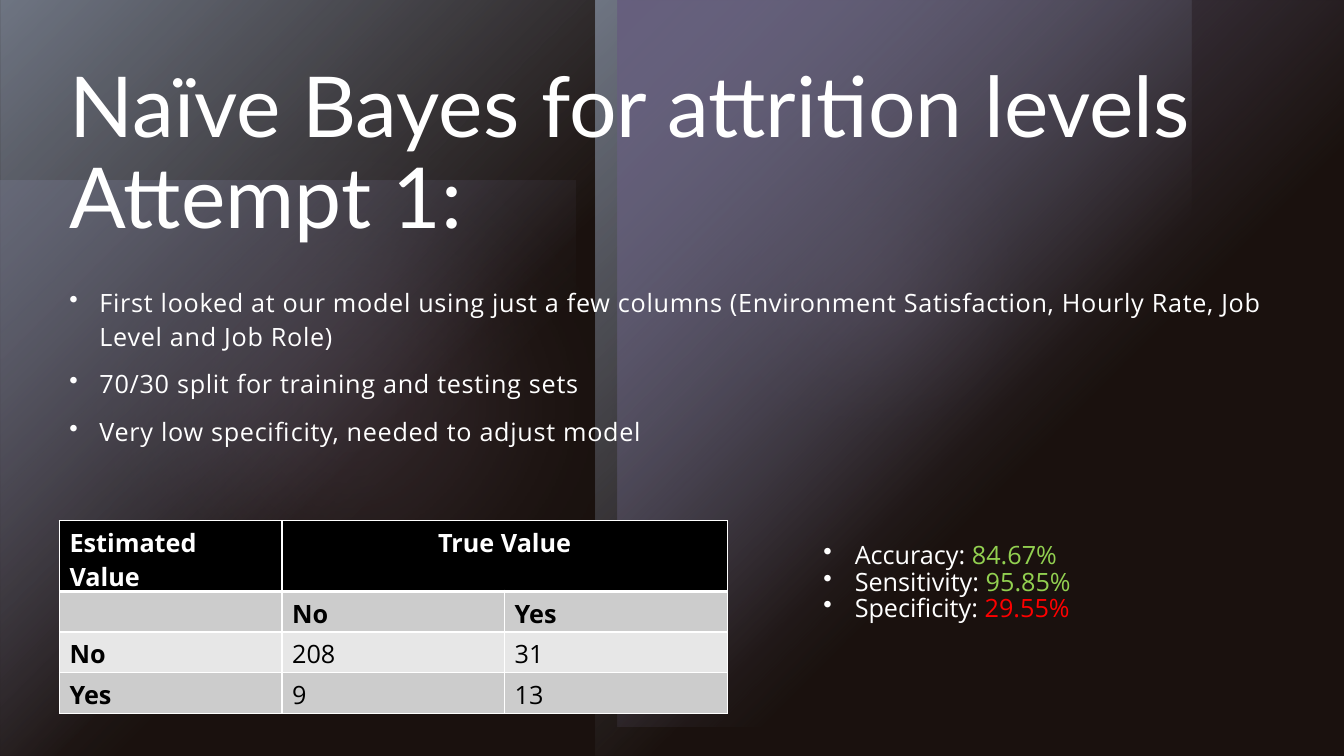
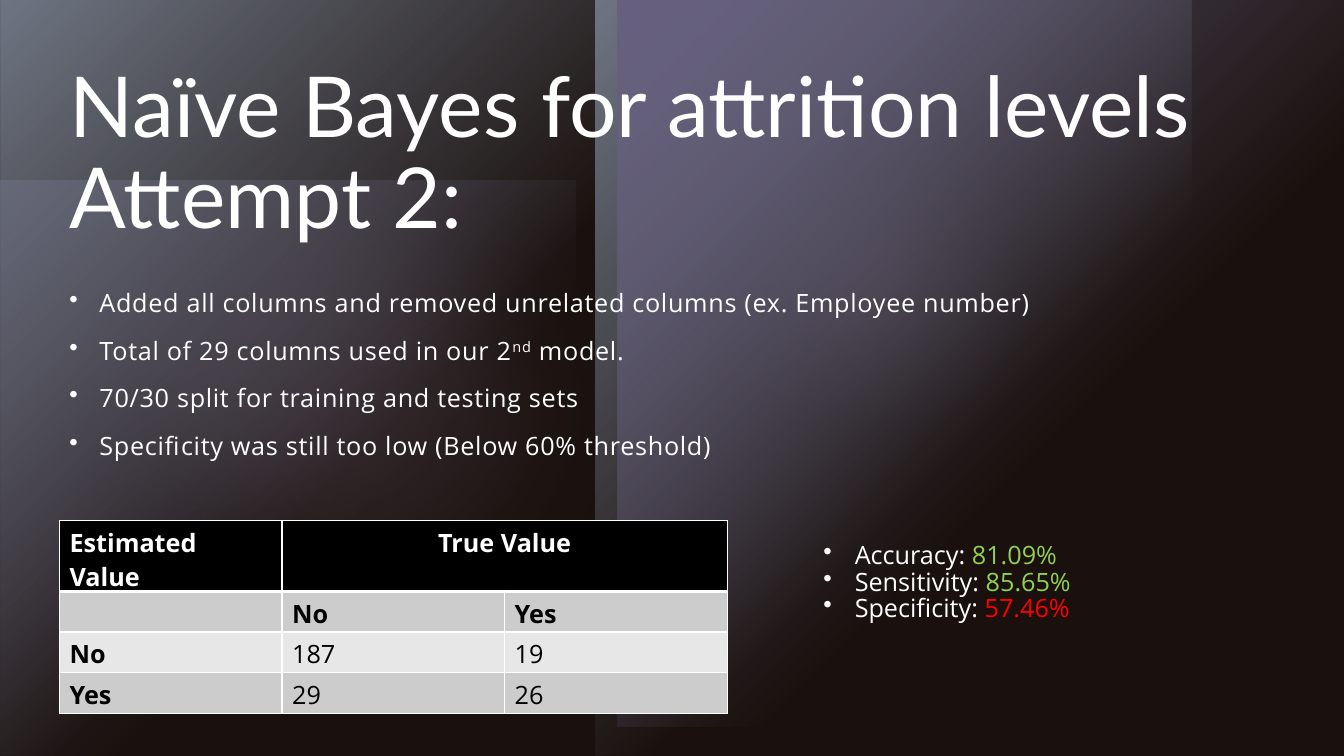
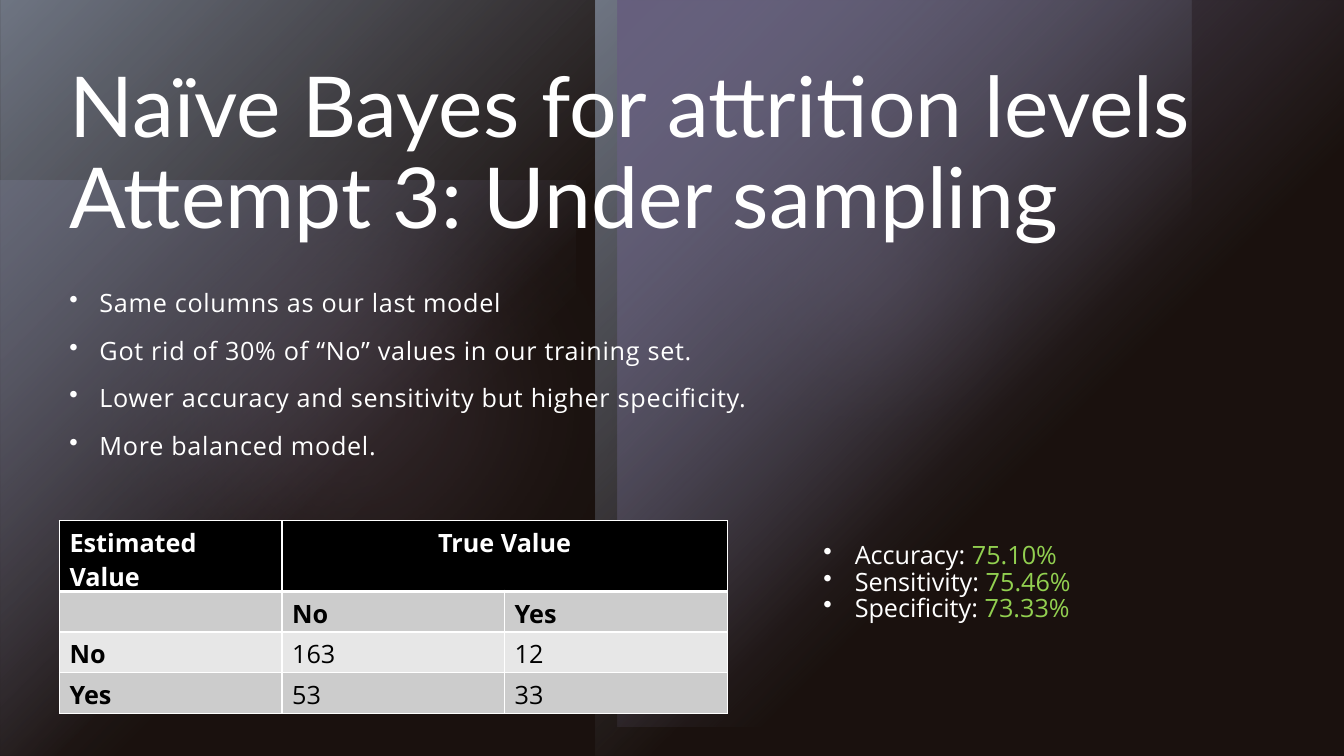
from dataclasses import dataclass
from lxml import etree
from pptx import Presentation
from pptx.dml.color import RGBColor
from pptx.enum.shapes import MSO_SHAPE
from pptx.enum.text import MSO_ANCHOR, MSO_AUTO_SIZE, PP_ALIGN
from pptx.oxml.ns import qn
from pptx.util import Pt

RECT, OVAL = MSO_SHAPE.RECTANGLE, MSO_SHAPE.OVAL
TOP, NO_FIT = MSO_ANCHOR.TOP, MSO_AUTO_SIZE.NONE
LEFT, CENTER = PP_ALIGN.LEFT, PP_ALIGN.CENTER

COLORS = {
    "black": "000000", "white": "FFFFFF", "steel": "8DA6C2", "violet": "7F82BA",
    "lilac": "A896C6", "brown": "412C24", "good": "92D050", "bad": "FF0000",
    "band": "CCCCCC", "light": "E7E7E7",
}
TITLE_FONT, BODY_FONT = "Lato", "Open Sans"
TITLE_SIZE, BODY_SIZE = 60, 18
SLIDE_W, SLIDE_H = 960, 540
MARGIN, CONTENT_W = 42.5, 874
THRESHOLD = 60


@dataclass(frozen=True)
class Glow:
    kind: MSO_SHAPE
    box: tuple[float, float, float, float]
    color: str
    alpha: int = 100
    fades: bool = False
    soft_edge: float = 0
    rotation: int = 0
    flips: str = "V"


@dataclass(frozen=True)
class Attempt:
    title: str
    points: list[str]
    counts: list[list[int]]  # rows: estimated No, Yes
    metrics: dict[str, float]


GLOWS = [
    Glow(RECT, (0, 129, 411, 411), "violet", 60, fades=True),
    Glow(OVAL, (453, 31, 340, 340), "lilac", 60, soft_edge=100),
    Glow(OVAL, (0, 40, 500, 500), "lilac", 20, soft_edge=100),
    Glow(RECT, (0, 0, 425.5, 540), "steel", fades=True, rotation=180),
    Glow(RECT, (425.5, 0, 425.5, 540), "steel", fades=True, rotation=180, flips="HV"),
    Glow(RECT, (441, 0, 519, 519), "violet", fades=True, rotation=180),
]
VEIL = Glow(RECT, (0, 0, SLIDE_W, SLIDE_H), "brown", 40, flips="")

ATTEMPTS = [
    Attempt(
        "Naïve Bayes for attrition levels\vAttempt 1:",
        ["First looked at our model using just a few columns (Environment "
         "Satisfaction, Hourly Rate, Job Level and Job Role)",
         "70/30 split for training and testing sets",
         "Very low specificity, needed to adjust model"],
        [[208, 31], [9, 13]],
        {"Accuracy": 84.67, "Sensitivity": 95.85, "Specificity": 29.55},
    ),
    Attempt(
        "Naïve Bayes for attrition levels Attempt 2:",
        ["Added all columns and removed unrelated columns (ex. Employee number)",
         "Total of 29 columns used in our 2^nd^ model.",
         "70/30 split for training and testing sets",
         "Specificity was still too low (Below 60% threshold)"],
        [[187, 19], [29, 26]],
        {"Accuracy": 81.09, "Sensitivity": 85.65, "Specificity": 57.46},
    ),
    Attempt(
        "Naïve Bayes for attrition levels Attempt 3: Under sampling",
        ["Same columns as our last model",
         "Got rid of 30% of “No” values in our training set.",
         "Lower accuracy and sensitivity but higher specificity.",
         "More balanced model."],
        [[163, 12], [53, 33]],
        {"Accuracy": 75.10, "Sensitivity": 75.46, "Specificity": 73.33},
    ),
]


def rgb(name: str) -> RGBColor:
    return RGBColor.from_string(COLORS[name])


def add_color(parent, color: str, alpha: int = 100) -> None:
    clr = etree.SubElement(parent, qn("a:srgbClr"), val=COLORS[color])
    if alpha < 100:
        etree.SubElement(clr, qn("a:alpha"), val=str(alpha * 1000))


def style(p, color: str, size: float = BODY_SIZE, font: str = BODY_FONT,
          bold: bool = False) -> None:
    p.font.name, p.font.size, p.font.bold = font, Pt(size), bold
    p.font.color.rgb = rgb(color)


def add_bullet(p, indent: float) -> None:
    pPr = p._p.get_or_add_pPr()
    pPr.set("marL", str(Pt(indent)))
    pPr.set("indent", str(-Pt(indent)))
    bullet = etree.Element(qn("a:buChar"), char="•")
    pPr.find(qn("a:defRPr")).addprevious(bullet)


# Shared background
def add_glow(shapes, glow: Glow):
    sp = shapes.add_shape(glow.kind, *map(Pt, glow.box))
    sp.rotation = glow.rotation
    sp.line.fill.background()
    sp.shadow.inherit = False
    spPr = sp._element.spPr
    for axis in glow.flips:
        spPr.find(qn("a:xfrm")).set(f"flip{axis}", "1")
    fill = etree.Element(qn("a:gradFill" if glow.fades else "a:solidFill"))
    spPr.find(qn("a:prstGeom")).addnext(fill)
    if glow.fades:
        stops = etree.SubElement(fill, qn("a:gsLst"))
        for pos, alpha in ((0, glow.alpha), (60, 0)):
            stop = etree.SubElement(stops, qn("a:gs"), pos=str(pos * 1000))
            add_color(stop, glow.color, alpha)
        circle = etree.SubElement(fill, qn("a:path"))
        circle.set("path", "circle")
        etree.SubElement(circle, qn("a:fillToRect"), r="100000", b="100000")
    else:
        add_color(fill, glow.color, glow.alpha)
    if glow.soft_edge:
        etree.SubElement(spPr.find(qn("a:effectLst")), qn("a:softEdge"),
                         rad=str(Pt(glow.soft_edge)))
    return sp


def move_background_to_layout(s, layout) -> None:
    layout.background.fill.solid()
    layout.background.fill.fore_color.rgb = rgb("black")
    group = s.shapes.add_group_shape()
    for glow in GLOWS:
        add_glow(group.shapes, glow)
    veil = add_glow(s.shapes, VEIL)
    for part in (group, veil):
        layout.shapes.element.append(part._element)


# Slide parts
def set_title(s, text: str) -> None:
    title = s.shapes.title
    title.left, title.top = Pt(MARGIN), Pt(43)
    title.width, title.height = Pt(CONTENT_W), Pt(142.5)
    tf = title.text_frame
    tf.text = text
    tf.word_wrap, tf.auto_size, tf.vertical_anchor = True, NO_FIT, TOP
    p = tf.paragraphs[0]
    p.alignment, p.line_spacing = LEFT, 0.9
    style(p, "white", TITLE_SIZE, TITLE_FONT)


def add_text_frame(s, x: float, y: float, w: float, h: float):
    tf = s.shapes.add_textbox(Pt(x), Pt(y), Pt(w), Pt(h)).text_frame
    tf.word_wrap = True
    return tf


def add_points(s, points: list[str]) -> None:
    tf = add_text_frame(s, MARGIN, 199.5, CONTENT_W, 297.5)
    for i, point in enumerate(points):
        p = tf.paragraphs[0] if i == 0 else tf.add_paragraph()
        p.line_spacing, p.space_before = 1.11, Pt(10)
        style(p, "white")
        add_bullet(p, 21.5)
        for j, text in enumerate(point.split("^")):  # ^ marks superscript
            r = p.add_run()
            r.text = text
            rPr = r._r.get_or_add_rPr()
            rPr.set("spc", "50")
            if j % 2:
                rPr.set("baseline", "30000")


def add_border(cell, side: str, width: float) -> None:
    ln = etree.SubElement(cell._tc.get_or_add_tcPr(), qn(f"a:ln{side}"),
                          w=str(Pt(width)))
    add_color(etree.SubElement(ln, qn("a:solidFill")), "white")


def add_matrix(s, counts: list[list[int]]) -> None:
    rows = [["Estimated Value", "True Value", ""], ["", "No", "Yes"],
            ["No", *counts[0]], ["Yes", *counts[1]]]
    fills = ["black", "band", "light", "band"]
    table = s.shapes.add_table(4, 3, Pt(MARGIN), Pt(372), Pt(477), Pt(115)).table
    for i, row in enumerate(rows):
        table.rows[i].height = Pt(29 if i else 23)
        for j, value in enumerate(row):
            cell = table.cell(i, j)
            for side in "LRTB":
                header_edge = (i, side) in ((0, "B"), (1, "T"))
                add_border(cell, side, 3 if header_edge else 1)
            cell.fill.solid()
            cell.fill.fore_color.rgb = rgb(fills[i])
            cell.text = str(value)
            style(cell.text_frame.paragraphs[0], "black" if i else "white",
                  bold=i < 2 or j == 0)
    table.cell(0, 1).merge(table.cell(0, 2))
    table.cell(0, 1).text_frame.paragraphs[0].alignment = CENTER


def add_metrics(s, metrics: dict[str, float]) -> None:
    tf = add_text_frame(s, 581, 384.5, 213, 72.5)
    for i, (name, value) in enumerate(metrics.items()):
        p = tf.paragraphs[0] if i == 0 else tf.add_paragraph()
        p.line_spacing = 0.88
        style(p, "white")
        add_bullet(p, 22.5)
        p.add_run().text = f"{name}: "
        r = p.add_run()
        r.text = f"{value:.2f}%"
        r.font.color.rgb = rgb("good" if value >= THRESHOLD else "bad")


prs = Presentation()
prs.slide_width, prs.slide_height = Pt(SLIDE_W), Pt(SLIDE_H)
title_only = prs.slide_layouts[5]

for n, attempt in enumerate(ATTEMPTS):
    s = prs.slides.add_slide(title_only)
    if n == 0:
        move_background_to_layout(s, title_only)
    set_title(s, attempt.title)
    add_points(s, attempt.points)
    add_matrix(s, attempt.counts)
    add_metrics(s, attempt.metrics)

prs.save("out.pptx")
